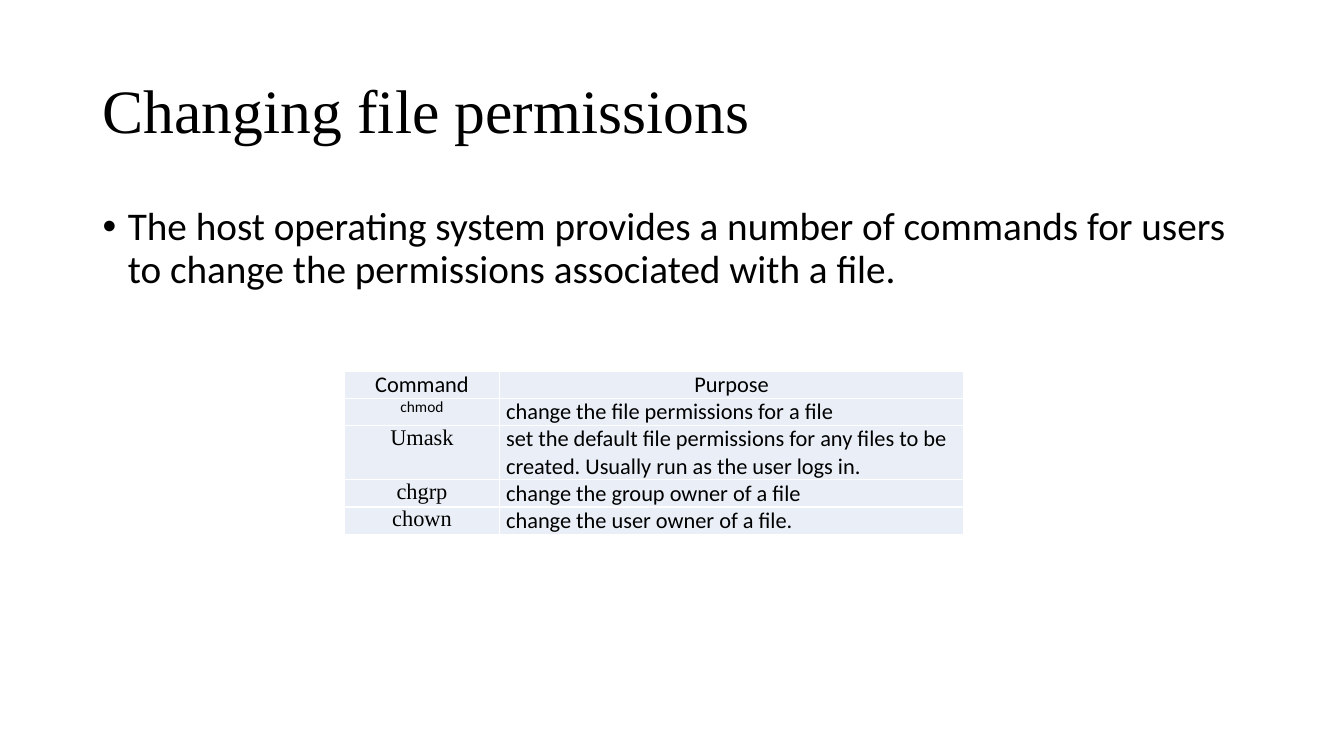
import dataclasses

import lxml.etree
import pptx
import pptx.dml.color
import pptx.enum.text
import pptx.oxml.ns
import pptx.util

SLIDE_W, SLIDE_H = 13.33, 7.5
COLORS = {"text": "000000", "cell": "EAEFF7", "border": "FFFFFF"}
SANS, SERIF = "Calibri", "Times New Roman"
ROW_H = 0.27
COL_W = (1.53, 4.61)
ALIGN = pptx.enum.text.PP_ALIGN
ANCHOR = pptx.enum.text.MSO_ANCHOR
qn = pptx.oxml.ns.qn


@dataclasses.dataclass
class Box:
    """Place on the slide, as shares of its width and height."""
    left: float
    top: float
    width: float
    height: float

    def emu(self) -> list[int]:
        sides = (SLIDE_W, SLIDE_H, SLIDE_W, SLIDE_H)
        return [pptx.util.Inches(v * side)
                for v, side in zip(dataclasses.astuple(self), sides)]


@dataclasses.dataclass
class Style:
    font: str = SANS
    size: float = 16
    align: ALIGN = ALIGN.LEFT


@dataclasses.dataclass
class Command:
    name: str
    purpose: str
    name_style: Style
    purpose_style: Style = dataclasses.field(default_factory=Style)
    lines: int = 1


def rgb(key: str) -> pptx.dml.color.RGBColor:
    return pptx.dml.color.RGBColor.from_string(COLORS[key])


def write(tf, text: str, style: Style):
    p = tf.paragraphs[0]
    p.alignment = style.align
    r = p.add_run()
    r.text = text
    r.font.name = style.font
    r.font.size = pptx.util.Pt(style.size)
    r.font.bold = False
    r.font.color.rgb = rgb("text")
    return p


def add_text(s, box: Box, text: str, style: Style, anchor: ANCHOR):
    tf = s.shapes.add_textbox(*box.emu()).text_frame
    tf.word_wrap = True
    tf.vertical_anchor = anchor
    p = write(tf, text, style)
    p.line_spacing = 0.9
    return p


def add_bullet(p) -> None:
    indent = pptx.util.Inches(0.25)
    ppr = p._p.get_or_add_pPr()
    ppr.set("marL", str(indent))
    ppr.set("indent", str(-indent))
    lxml.etree.SubElement(ppr, qn("a:buFont")).set("typeface", "Arial")
    lxml.etree.SubElement(ppr, qn("a:buChar")).set("char", "•")


def add_borders(cell) -> None:
    tcpr = cell._tc.get_or_add_tcPr()
    for i, side in enumerate("LRTB"):
        ln = lxml.etree.Element(qn(f"a:ln{side}"), w=str(pptx.util.Pt(1)))
        fill = lxml.etree.SubElement(ln, qn("a:solidFill"))
        lxml.etree.SubElement(fill, qn("a:srgbClr")).set("val", COLORS["border"])
        tcpr.insert(i, ln)


def fill_cell(cell, text: str, style: Style) -> None:
    cell.margin_left = cell.margin_right = pptx.util.Inches(0.07)
    cell.margin_top = cell.margin_bottom = 0
    cell.fill.solid()
    cell.fill.fore_color.rgb = rgb("cell")
    add_borders(cell)
    write(cell.text_frame, text, style)


def add_commands(s, box: Box, commands: list[Command]) -> None:
    table = s.shapes.add_table(len(commands), len(COL_W), *box.emu()).table
    table.first_row = table.horz_banding = False
    for column, width in zip(table.columns, COL_W):
        column.width = pptx.util.Inches(width)
    for i, command in enumerate(commands):
        table.rows[i].height = pptx.util.Inches(ROW_H * command.lines)
        fill_cell(table.cell(i, 0), command.name, command.name_style)
        fill_cell(table.cell(i, 1), command.purpose, command.purpose_style)


def main() -> None:
    prs = pptx.Presentation()
    prs.slide_width = pptx.util.Inches(SLIDE_W)
    prs.slide_height = pptx.util.Inches(SLIDE_H)
    s = prs.slides.add_slide(prs.slide_layouts[6])

    # Title
    add_text(s, Box(0.069, 0.053, 0.863, 0.193), "Changing file permissions",
             Style(SERIF, 44), ANCHOR.MIDDLE)

    # Introduction
    p = add_text(s, Box(0.069, 0.267, 0.863, 0.635),
                 "The host operating system provides a number of commands for "
                 "users to change the permissions associated with a file.",
                 Style(size=28), ANCHOR.TOP)
    p.space_before = pptx.util.Pt(10)
    add_bullet(p)

    # Command table
    heading = Style(align=ALIGN.CENTER)
    small = Style(size=11, align=ALIGN.CENTER)
    serif = Style(SERIF, align=ALIGN.CENTER)
    add_commands(s, Box(0.2566, 0.4907, 0.4606, 0.2133), [
        Command("Command", "Purpose", heading, heading),
        Command("chmod", "change the file permissions for a file", small),
        Command("Umask", "set the default file permissions for any files to be "
                "created. Usually run as the user logs in.", serif, lines=2),
        Command("chgrp", "change the group owner of a file", serif),
        Command("chown", "change the user owner of a file.", serif),
    ])

    prs.save("out.pptx")


if __name__ == "__main__":
    main()
